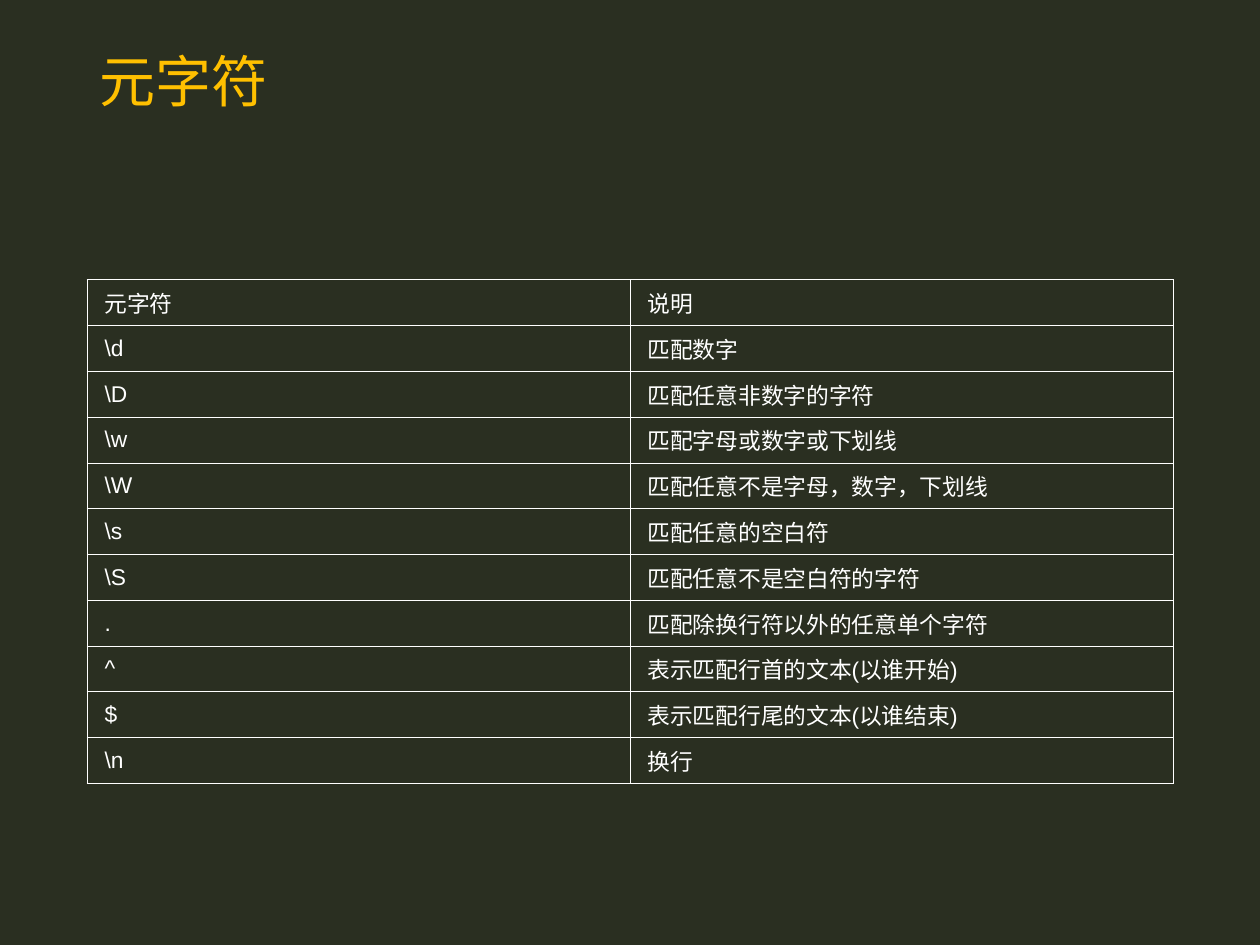
from lxml import etree
from pptx import Presentation
from pptx.dml.color import RGBColor
from pptx.enum.text import MSO_ANCHOR, PP_ALIGN
from pptx.oxml.ns import qn
from pptx.util import Inches, Pt

MIDDLE = MSO_ANCHOR.MIDDLE
LEFT_ALIGN = PP_ALIGN.LEFT

# Content
TITLE = "元字符"
METACHARACTERS = [
    ("元字符", "说明"),
    (r"\d", "匹配数字"),
    (r"\D", "匹配任意非数字的字符"),
    (r"\w", "匹配字母或数字或下划线"),
    (r"\W", "匹配任意不是字母，数字，下划线"),
    (r"\s", "匹配任意的空白符"),
    (r"\S", "匹配任意不是空白符的字符"),
    (".", "匹配除换行符以外的任意单个字符"),
    ("^", "表示匹配行首的文本(以谁开始)"),
    ("$", "表示匹配行尾的文本(以谁结束)"),
    (r"\n", "换行"),
]

# Style and layout
BACKGROUND, GOLD, WHITE = "2A2F21", "FFC000", "FFFFFF"
LATIN_FONT, CJK_FONT = "Arial", "Noto Sans CJK SC"
SLIDE_W, SLIDE_H = Inches(10), Inches(7.5)
MARGIN = Inches(0.69)
CONTENT_W = SLIDE_W - 2 * MARGIN
TABLE_TOP, TABLE_H = Inches(2.22), Inches(4)
BORDER_W = Pt(0.45)


def color(hex_value):
    return RGBColor.from_string(hex_value)


def add_text(frame, text, size, font, hex_value):
    paragraph = frame.paragraphs[0]
    paragraph.alignment = LEFT_ALIGN
    run = paragraph.add_run()
    run.text = text
    run.font.size = Pt(size)
    run.font.name = font
    run.font.color.rgb = color(hex_value)
    east_asian = etree.Element(qn("a:ea"), typeface=CJK_FONT)
    run.font._element.find(qn("a:latin")).addnext(east_asian)
    return paragraph


def add_borders(cell, hex_value):
    properties = cell._tc.get_or_add_tcPr()
    for side in ("lnL", "lnR", "lnT", "lnB"):
        line = etree.SubElement(properties, qn(f"a:{side}"), w=str(BORDER_W))
        fill = etree.SubElement(line, qn("a:solidFill"))
        etree.SubElement(fill, qn("a:srgbClr"), val=hex_value)


prs = Presentation()
prs.slide_width, prs.slide_height = SLIDE_W, SLIDE_H
slide = prs.slides.add_slide(prs.slide_layouts[5])
slide.background.fill.solid()
slide.background.fill.fore_color.rgb = color(BACKGROUND)

# Title
heading = slide.shapes.title
heading.left, heading.top = MARGIN, Inches(0.22)
heading.width, heading.height = CONTENT_W, Inches(0.9)
heading.text_frame.vertical_anchor = MIDDLE
add_text(heading.text_frame, TITLE, 32, CJK_FONT, GOLD).line_spacing = 0.9

# Metacharacter table
row_count, column_count = len(METACHARACTERS), len(METACHARACTERS[0])
table = slide.shapes.add_table(
    row_count, column_count, MARGIN, TABLE_TOP, CONTENT_W, TABLE_H).table
table.first_row = table.horz_banding = False
for table_row, entries in zip(table.rows, METACHARACTERS):
    table_row.height = TABLE_H // row_count
    for cell, entry in zip(table_row.cells, entries):
        add_borders(cell, WHITE)
        cell.fill.background()
        cell.vertical_anchor = MIDDLE
        cell.margin_left = cell.margin_right = Inches(0.14)
        cell.margin_top = cell.margin_bottom = Inches(0.05)
        add_text(cell.text_frame, entry, 13, LATIN_FONT, WHITE)

prs.save("out.pptx")
